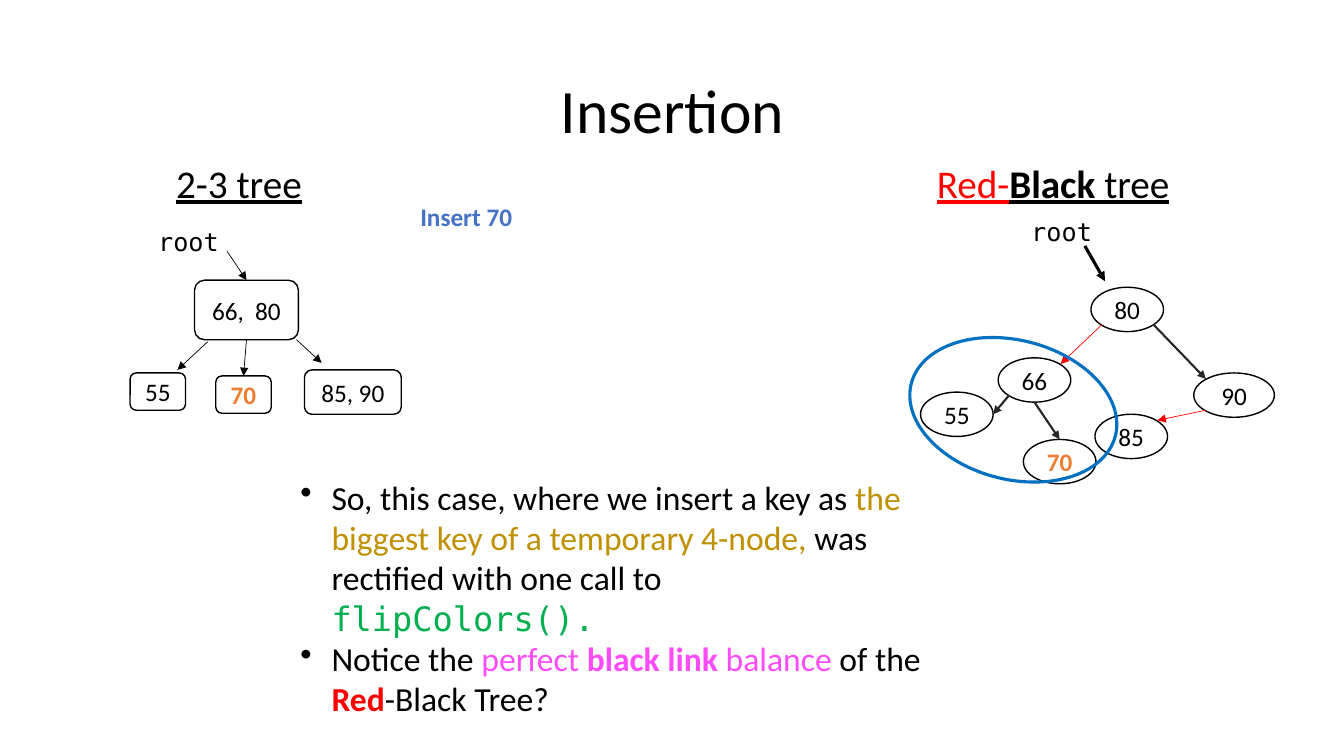
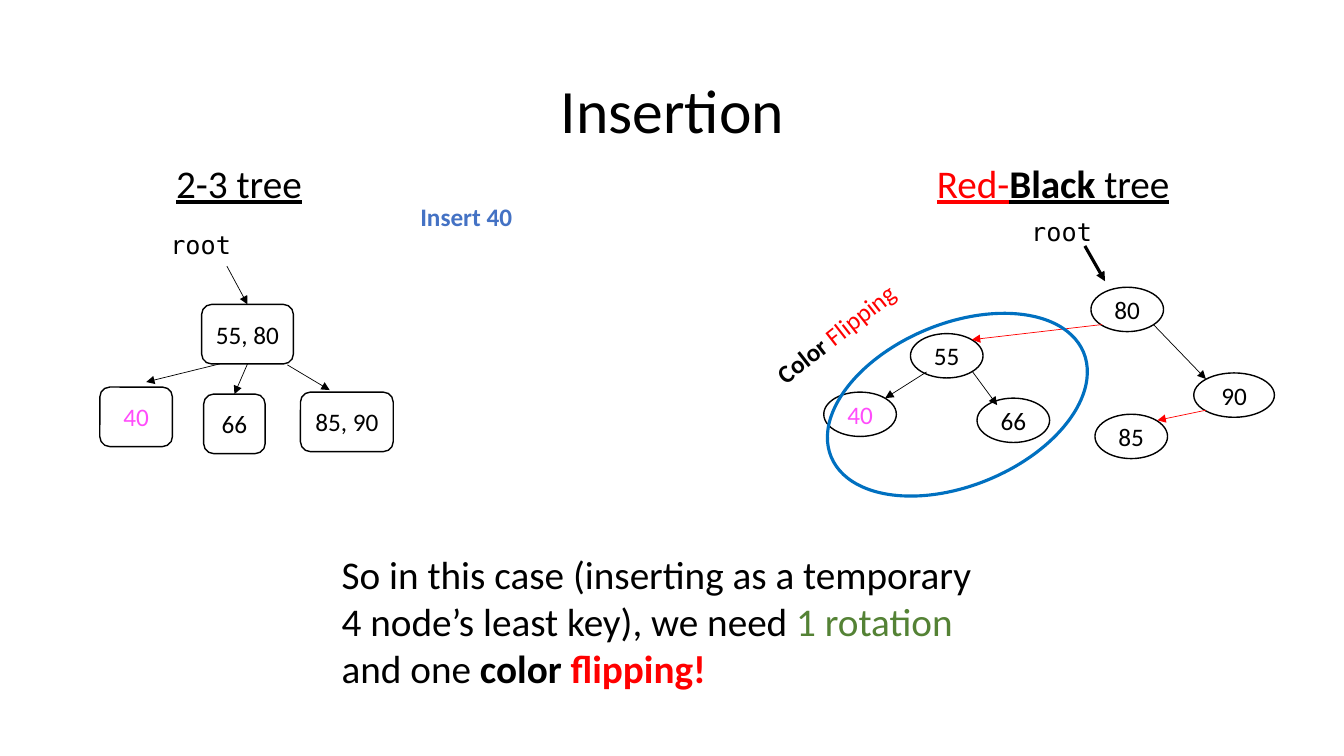
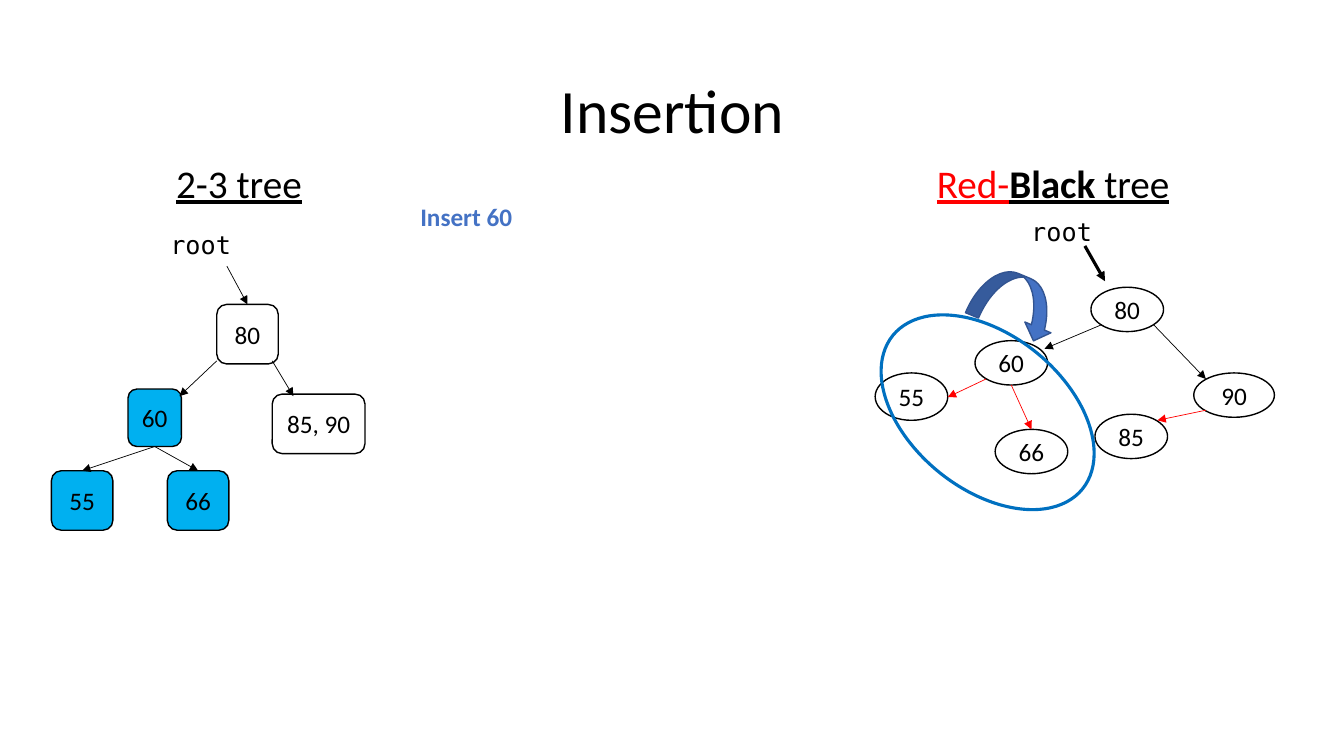
from dataclasses import dataclass

from pptx import Presentation
from pptx.dml.color import RGBColor
from pptx.enum.shapes import MSO_CONNECTOR, MSO_SHAPE
from pptx.enum.text import MSO_ANCHOR, MSO_AUTO_SIZE, PP_ALIGN
from pptx.oxml.xmlchemy import OxmlElement
from pptx.shapes.autoshape import Shape
from pptx.shapes.connector import Connector
from pptx.slide import Slide
from pptx.text.text import TextFrame
from pptx.util import Inches, Pt

ELLIPSE = MSO_SHAPE.OVAL
ROUNDED = MSO_SHAPE.ROUNDED_RECTANGLE
CURVED_ARROW = MSO_SHAPE.CURVED_DOWN_ARROW
STRAIGHT = MSO_CONNECTOR.STRAIGHT
LEFT, CENTER = PP_ALIGN.LEFT, PP_ALIGN.CENTER
MIDDLE = MSO_ANCHOR.MIDDLE
GROW, FIXED = MSO_AUTO_SIZE.SHAPE_TO_FIT_TEXT, MSO_AUTO_SIZE.NONE
TOP, BOTTOM = 0, 2

SANS, MONO = "Calibri", "DejaVu Sans Mono"
BLACK, CHARCOAL, RED = "000000", "262626", "FF0000"
BLUE, RING_BLUE, SKY, NAVY = "4472C4", "0070C0", "00B0F0", "325491"
ORANGE, PINK, GOLD = "ED7D31", "FF4CFB", "BF9000"
GREEN, OLIVE = "00B050", "548235"

Area = tuple[float, float, float, float]
Point = tuple[float, float]


@dataclass(frozen=True)
class Span:
    text: str
    color: str = BLACK
    bold: bool = False
    font: str = SANS


@dataclass(frozen=True)
class Node:
    label: str
    left: float
    top: float
    width: float = 0.72
    height: float = 0.44
    color: str = BLACK
    bold: bool = False
    fill: str | None = None


@dataclass(frozen=True)
class Joint:
    """The middle of one side of the node with this label."""
    label: str
    side: int


@dataclass(frozen=True)
class Link:
    start: Point | Joint
    end: Point | Joint
    color: str = BLACK
    width: float = 0.5


@dataclass(frozen=True)
class Tree:
    nodes: list[Node]
    links: list[Link]


@dataclass(frozen=True)
class Ring:
    area: Area
    rotation: float


@dataclass(frozen=True)
class Step:
    key: int
    root_label: Point
    two_three: Tree
    red_black: Tree
    ring: Ring
    right_link: Link = Link((11.44, 3.22), (11.96, 3.76))


RED_BLACK_BASE = Tree(
    [Node("80", 10.82, 2.85), Node("90", 11.84, 3.7, 0.8), Node("85", 10.86, 4.11)],
    [Link((10.76, 2.44), (10.96, 2.79), width=2.25),
     Link((11.96, 4.07), (11.48, 4.17), RED)],
)

STEPS = [
    Step(
        70, (1.47, 2.2),
        Tree(
            [Node("66,  80", 1.93, 2.78, 1.03, 0.59),
             Node("55", 1.29, 3.7, 0.55, 0.37),
             Node("70", 2.14, 3.73, 0.55, 0.37, ORANGE, True),
             Node("85, 90", 3.02, 3.67, 0.96)],
            [Link((2.25, 2.49), Joint("66,  80", TOP)),
             Link((2.06, 3.39), (1.76, 3.67)),
             Link(Joint("66,  80", BOTTOM), Joint("70", TOP)),
             Link((2.94, 3.37), (3.19, 3.6))],
        ),
        Tree(
            [Node("66", 9.9, 3.55), Node("55", 9.13, 3.89),
             Node("70", 10.15, 4.36, color=ORANGE, bold=True)],
            [Link((10.93, 3.22), (10.52, 3.61), RED),
             Link((10.01, 3.92), (9.85, 4.11), CHARCOAL, 1.5),
             Link((10.26, 3.99), (10.51, 4.36), CHARCOAL, 1.5)],
        ),
        Ring((9.36, 3.02, 1.38, 2.09), 104.4),
        Link((11.44, 3.22), (11.96, 3.76), CHARCOAL, 1.5),
    ),
    Step(
        40, (1.59, 2.23),
        Tree(
            [Node("55, 80", 2, 3.02, 0.91, 0.59),
             Node("40", 0.99, 3.84, 0.72, 0.59, PINK),
             Node("66", 2.02, 3.91, 0.61, 0.59),
             Node("85, 90", 2.98, 3.89, 0.92, 0.59)],
            [Link((2.25, 2.64), Joint("55, 80", TOP)),
             Link((2.18, 3.61), (1.45, 3.79)),
             Link(Joint("55, 80", BOTTOM), Joint("66", TOP)),
             Link((2.85, 3.62), (3.27, 3.87))],
        ),
        Tree(
            [Node("55", 9.03, 3.31), Node("40", 8.17, 3.89, color=PINK),
             Node("66", 9.69, 3.95)],
            [Link((10.93, 3.22), (9.64, 3.37), RED),
             Link((9.19, 3.69), (8.78, 3.95)),
             Link((9.64, 3.68), (9.89, 4.02))],
        ),
        Ring((8.69, 2.66, 1.61, 2.71), 67.5),
    ),
    Step(
        60, (1.59, 2.23),
        Tree(
            [Node("80", 2.15, 3.02, 0.61, 0.59),
             Node("85, 90", 2.7, 3.91, 0.92, 0.59),
             Node("60", 1.27, 3.86, 0.53, 0.57, fill=SKY),
             Node("55", 0.51, 4.67, 0.61, 0.59, fill=SKY),
             Node("66", 1.66, 4.67, 0.61, 0.59, fill=SKY)],
            [Link((2.25, 2.64), Joint("80", TOP)),
             Link((2.7, 3.58), (2.91, 3.93)),
             Link((2.15, 3.58), (1.78, 3.93)),
             Link(Joint("60", BOTTOM), Joint("55", TOP)),
             Link(Joint("60", BOTTOM), Joint("66", TOP))],
        ),
        Tree(
            [Node("60", 9.67, 3.38), Node("55", 8.68, 3.7, height=0.47),
             Node("66", 9.87, 4.26)],
            [Link((10.93, 3.22), (10.36, 3.46)),
             Link((9.78, 3.76), (9.4, 3.94), RED),
             Link((10.03, 3.82), (10.23, 4.26), RED)],
        ),
        Ring((9.03, 2.88, 1.53, 2.42), 129),
    ),
]


def rgb(color: str) -> RGBColor:
    return RGBColor.from_string(color)


def write(frame: TextFrame, paragraphs: list[list[Span]], *, size: float = 18,
          align: PP_ALIGN = LEFT, underline: bool = False, bulleted: bool = False,
          line_spacing: float | None = None) -> None:
    for index, spans in enumerate(paragraphs):
        para = frame.add_paragraph() if index else frame.paragraphs[0]
        if bulleted:
            properties = para._p.get_or_add_pPr()
            properties.set("marL", str(Inches(0.31)))
            properties.set("indent", str(-Inches(0.31)))
            bullet = OxmlElement("a:buChar")
            bullet.set("char", "•")
            properties.append(bullet)
        para.alignment = align
        if line_spacing:
            para.line_spacing = line_spacing
        for span in spans:
            run = para.add_run()
            run.text = span.text
            run.font.name = span.font
            run.font.size = Pt(size)
            run.font.bold = span.bold
            run.font.underline = underline
            run.font.color.rgb = rgb(span.color)


def add_text(page: Slide, area: Area, paragraphs: list[list[Span]], *,
             rotation: float = 0, **text_format) -> None:
    box = page.shapes.add_textbox(*map(Inches, area))
    box.rotation = rotation
    box.text_frame.word_wrap = True
    box.text_frame.auto_size = GROW
    write(box.text_frame, paragraphs, **text_format)


def add_figure(page: Slide, kind: MSO_SHAPE, area: Area, *, line: str = BLACK,
               width: float = 1, fill: str | None = None,
               rotation: float = 0) -> Shape:
    figure = page.shapes.add_shape(kind, *map(Inches, area))
    figure.shadow.inherit = False
    figure.rotation = rotation
    figure.line.color.rgb = rgb(line)
    figure.line.width = Pt(width)
    if fill:
        figure.fill.solid()
        figure.fill.fore_color.rgb = rgb(fill)
    else:
        figure.fill.background()
    return figure


def add_node(page: Slide, kind: MSO_SHAPE, node: Node) -> Shape:
    area = (node.left, node.top, node.width, node.height)
    figure = add_figure(page, kind, area, fill=node.fill)
    frame = figure.text_frame
    frame.word_wrap = False
    frame.vertical_anchor = MIDDLE
    write(frame, [[Span(node.label, node.color, node.bold)]], align=CENTER)
    return figure


def add_link(page: Slide, link: Link, figures: dict[str, Shape]) -> Connector:
    start, end = [(0, 0) if isinstance(place, Joint) else place
                  for place in (link.start, link.end)]
    arrow = page.shapes.add_connector(STRAIGHT, *map(Inches, (*start, *end)))
    if isinstance(link.start, Joint):
        arrow.begin_connect(figures[link.start.label], link.start.side)
    if isinstance(link.end, Joint):
        arrow.end_connect(figures[link.end.label], link.end.side)
    arrow.line.color.rgb = rgb(link.color)
    arrow.line.width = Pt(link.width)
    head = OxmlElement("a:tailEnd")
    head.set("type", "triangle")
    arrow.line._get_or_add_ln().append(head)
    arrow._element.spPr.append(OxmlElement("a:effectLst"))
    return arrow


def add_tree(page: Slide, kind: MSO_SHAPE, tree: Tree) -> None:
    figures = {node.label: add_node(page, kind, node) for node in tree.nodes}
    for link in tree.links:
        add_link(page, link, figures)


def add_title(page: Slide) -> None:
    title = page.shapes.title
    title.left, title.top, title.width, title.height = map(
        Inches, (0.92, 0.4, 11.5, 1.45))
    frame = title.text_frame
    frame.word_wrap = True
    frame.auto_size = FIXED
    frame.vertical_anchor = MIDDLE
    write(frame, [[Span("Insertion")]], size=44, align=CENTER, line_spacing=0.9)


def add_step(deck: Presentation, step: Step) -> Slide:
    """Adds a page with both trees after one key is inserted."""
    page = deck.slides.add_slide(deck.slide_layouts.get_by_name("Title Only"))
    add_title(page)
    heading = {"size": 28, "align": CENTER, "underline": True}
    add_text(page, (1.29, 1.53, 2.16, 0.57), [[Span("2-3 tree")]], **heading)
    add_text(page, (9.1, 1.53, 2.69, 0.57),
             [[Span("Red-", RED), Span("Black", bold=True), Span(" tree")]], **heading)
    root = [[Span("root", font=MONO)]]
    add_text(page, (*step.root_label, 1.31, 0.4), root)
    add_text(page, (10.13, 2.1, 0.93, 0.4), root)
    add_text(page, (4.07, 1.95, 3.38, 0.4),
             [[Span(f"Insert {step.key}", BLUE, True)]])
    add_tree(page, ROUNDED, step.two_three)
    add_tree(page, ELLIPSE, RED_BLACK_BASE)
    add_link(page, step.right_link, {})
    add_tree(page, ELLIPSE, step.red_black)
    add_figure(page, ELLIPSE, step.ring.area, line=RING_BLUE, width=2.25,
               rotation=step.ring.rotation)
    return page


def main() -> None:
    deck = Presentation()
    deck.slide_width, deck.slide_height = Inches(13.33), Inches(7.5)
    biggest, least, middle = [add_step(deck, step) for step in STEPS]

    add_text(biggest, (2.88, 4.68, 6.39, 2.12), [
        [Span("So, this case, where we insert a key as "),
         Span("the biggest key of a temporary 4-node,", GOLD),
         Span(" was rectified with one call to "),
         Span("flipColors().", GREEN, font=MONO)],
        [Span("Notice the "), Span("perfect ", PINK), Span("black link ", PINK, True),
         Span("balance ", PINK), Span("of the "), Span("Red", RED, True),
         Span("-Black Tree?")],
    ], size=24, bulleted=True)

    add_text(least, (7.48, 3.08, 1.69, 0.41),
             [[Span("Color ", bold=True), Span("Flipping", RED)]], rotation=321.9)
    add_text(least, (3.29, 5.41, 6.59, 1.51), [
        [Span("So in this case (inserting as a temporary 4 node’s least key), we need "),
         Span("1 rotation ", OLIVE), Span("and one "), Span("color ", bold=True),
         Span("flipping!", RED, True)],
    ], size=28)

    add_figure(middle, CURVED_ARROW, (9.65, 2.73, 0.87, 0.56), line=NAVY, fill=BLUE,
               rotation=22.5)
    deck.save("out.pptx")


if __name__ == "__main__":
    main()
